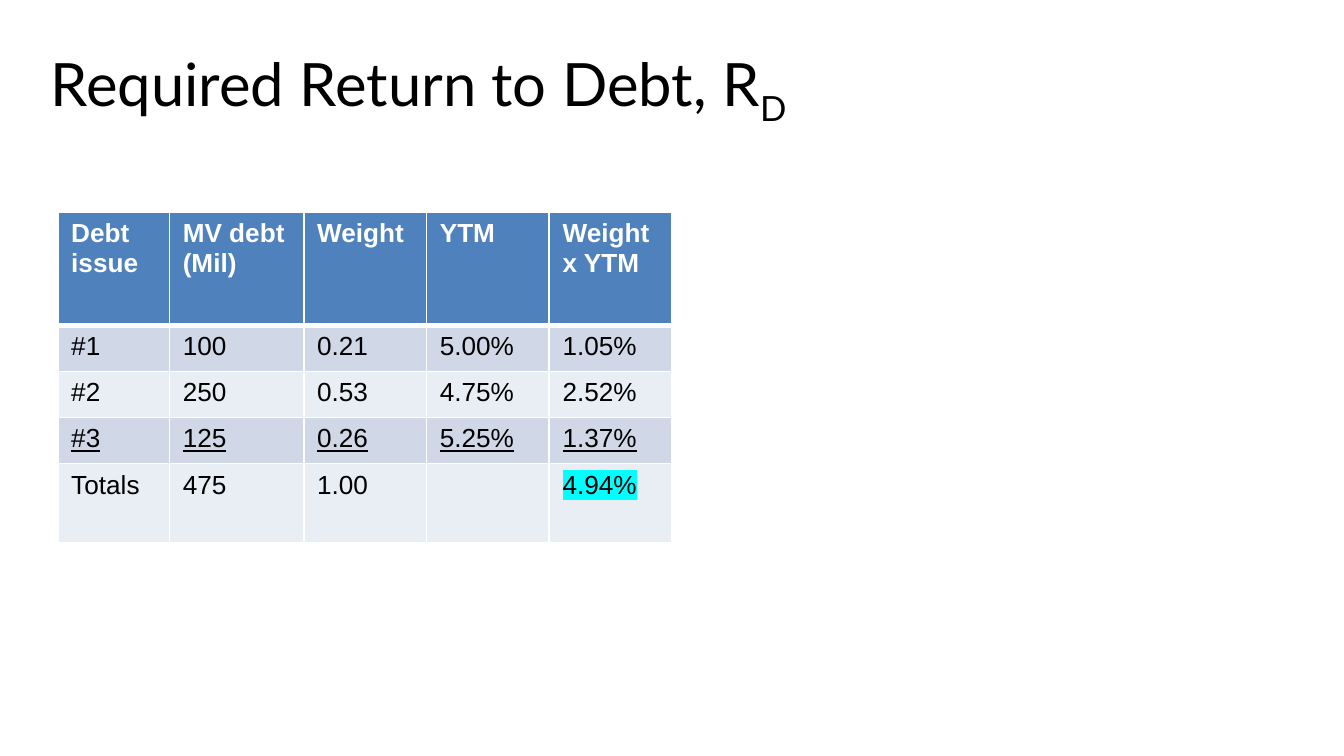
from lxml.etree import SubElement
from pptx import Presentation
from pptx.dml.color import RGBColor
from pptx.oxml import parse_xml
from pptx.oxml.ns import nsdecls, qn
from pptx.util import Inches, Pt

WHITE = RGBColor(0xFF, 0xFF, 0xFF)
BLACK = RGBColor(0x00, 0x00, 0x00)
HEADER_BLUE = RGBColor(0x4F, 0x81, 0xBD)
BANDS = [RGBColor(0xE9, 0xED, 0xF4), RGBColor(0xD0, 0xD8, 0xE8)]
CYAN = RGBColor(0x00, 0xFF, 0xFF)

SLIDE_WIDTH = 10
SLIDE_HEIGHT = SLIDE_WIDTH * 9 / 16

TITLE = "Required Return to Debt, R"
TITLE_SUBSCRIPT = "D"
DEBT_ROWS = [
    ["Debt issue", "MV debt\n(Mil)", "Weight", "YTM", "Weight x YTM"],
    ["#1", "100", "0.21", "5.00%", "1.05%"],
    ["#2", "250", "0.53", "4.75%", "2.52%"],
    ["#3", "125", "0.26", "5.25%", "1.37%"],
    ["Totals", "475", "1.00", "", "4.94%"],
]
HEADER_ROW, LAST_ISSUE_ROW = 0, 3
REQUIRED_RETURN = (4, 4)

TABLE_WIDTH, TABLE_HEIGHT = 4.57, 2.46
ISSUE_WIDTH, VALUE_WIDTH = 0.83, 1
HEADER_HEIGHT, TOTALS_HEIGHT = 0.84, 0.59
RATE_WIDTH = (TABLE_WIDTH - ISSUE_WIDTH - VALUE_WIDTH) / 3
ISSUE_HEIGHT = (TABLE_HEIGHT - HEADER_HEIGHT - TOTALS_HEIGHT) / 3
COLUMN_WIDTHS = [ISSUE_WIDTH, VALUE_WIDTH] + [RATE_WIDTH] * 3
ROW_HEIGHTS = [HEADER_HEIGHT] + [ISSUE_HEIGHT] * 3 + [TOTALS_HEIGHT]


def add_run(paragraph, text, font_name, size, color):
    run = paragraph.add_run()
    run.text = text
    run.font.name = font_name
    run.font.size = Pt(size)
    run.font.color.rgb = color
    return run


def set_borders(cell, row):
    """Draw white cell borders, thicker between the header and the body."""
    widths = {
        "L": 1,
        "R": 1,
        "T": 3 if row == HEADER_ROW + 1 else 1,
        "B": 3 if row == HEADER_ROW else 1,
    }
    properties = cell._tc.get_or_add_tcPr()
    for side, width in widths.items():
        properties.append(parse_xml(
            f'<a:ln{side} {nsdecls("a")} w="{Pt(width)}"><a:solidFill>'
            f'<a:srgbClr val="{WHITE}"/></a:solidFill></a:ln{side}>'))


def highlight(run, color):
    properties = run._r.get_or_add_rPr()
    mark = SubElement(properties, qn("a:highlight"))
    SubElement(mark, qn("a:srgbClr")).set("val", str(color))
    properties.find(qn("a:latin")).addprevious(mark)


def add_title(slide):
    box = slide.shapes.add_textbox(Inches(0.28), Inches(0.3), Inches(6.76), Inches(1.38))
    box.text_frame.word_wrap = True
    paragraph = box.text_frame.paragraphs[0]
    add_run(paragraph, TITLE, "Lato", 32, BLACK)
    subscript = add_run(paragraph, TITLE_SUBSCRIPT, "Lato", 32, BLACK)
    subscript._r.get_or_add_rPr().set("baseline", "-25000")


def fill_cell(cell, text, row, column):
    is_header = row == HEADER_ROW
    set_borders(cell, row)
    cell.fill.solid()
    cell.fill.fore_color.rgb = HEADER_BLUE if is_header else BANDS[row % 2]
    if not text:
        return
    frame = cell.text_frame
    for index, line in enumerate(text.split("\n")):
        paragraph = frame.add_paragraph() if index else frame.paragraphs[0]
        run = add_run(paragraph, line, "Arial", 14, WHITE if is_header else BLACK)
        run.font.bold = is_header
        run.font.underline = row == LAST_ISSUE_ROW
        if (row, column) == REQUIRED_RETURN:
            highlight(run, CYAN)


def add_debt_table(slide):
    table = slide.shapes.add_table(
        len(ROW_HEIGHTS), len(COLUMN_WIDTHS), Inches(0.43), Inches(1.58),
        Inches(TABLE_WIDTH), Inches(TABLE_HEIGHT)).table
    table.horz_banding = False
    for column, width in zip(table.columns, COLUMN_WIDTHS):
        column.width = Inches(width)
    for table_row, height in zip(table.rows, ROW_HEIGHTS):
        table_row.height = Inches(height)
    for row, texts in enumerate(DEBT_ROWS):
        for column, text in enumerate(texts):
            fill_cell(table.cell(row, column), text, row, column)


def main():
    presentation = Presentation()
    presentation.slide_width = Inches(SLIDE_WIDTH)
    presentation.slide_height = Inches(SLIDE_HEIGHT)
    slide = presentation.slides.add_slide(presentation.slide_layouts[6])
    add_debt_table(slide)
    add_title(slide)
    presentation.save("out.pptx")


if __name__ == "__main__":
    main()
